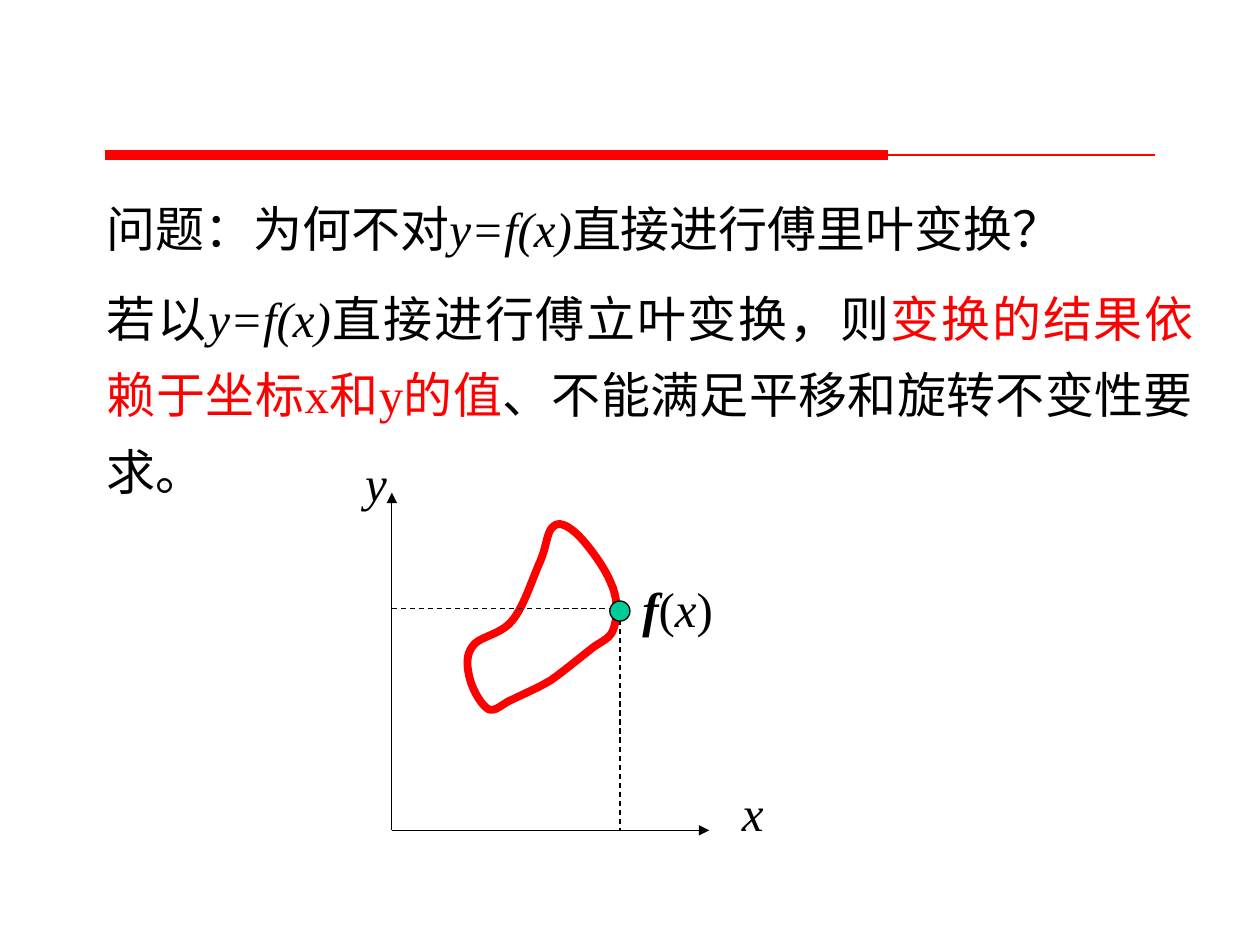
import dataclasses
import typing

import lxml.etree
import pptx
import pptx.dml.color
import pptx.enum.dml
import pptx.enum.shapes
import pptx.enum.text
import pptx.oxml.ns
import pptx.util

RED = pptx.dml.color.RGBColor(0xFF, 0x00, 0x00)
BLACK = pptx.dml.color.RGBColor(0x00, 0x00, 0x00)
WHITE = pptx.dml.color.RGBColor(0xFF, 0xFF, 0xFF)
GREEN = pptx.dml.color.RGBColor(0x00, 0xCC, 0x99)

WIDTH, HEIGHT = 10, 7.5
RULE_Y = 1.23
ORIGIN_X, ORIGIN_Y = 3.11, 6.59
POINT_X, POINT_Y, POINT_SIZE = 4.92, 4.85, 0.16
CURVE_STEPS = 10
THIN = 0.74

BASE_FONT = {"name": "Times New Roman", "size": pptx.util.Pt(28), "bold": False, "italic": False}
BODY_FORMAT = {"alignment": pptx.enum.text.PP_ALIGN.JUSTIFY, "line_spacing": 1.3}
LABEL_FORMAT = {"space_before": pptx.util.Pt(17.5)}


@dataclasses.dataclass
class Span:
    text: str
    color: pptx.dml.color.RGBColor = BLACK
    font: dict = dataclasses.field(default_factory=dict)


@dataclasses.dataclass
class TextBox:
    left: float
    top: float
    width: float
    height: float
    spans: list[Span]
    layout: dict
    wrap: bool = True


@dataclasses.dataclass
class Line:
    start: tuple[float, float]
    end: tuple[float, float]
    color: pptx.dml.color.RGBColor = BLACK
    weight: float = THIN
    dashed: bool = False
    arrow: bool = False


def italic(text: str) -> Span:
    return Span(text, font={"italic": True})


def set_all(target: typing.Any, values: dict) -> None:
    for name, value in values.items():
        setattr(target, name, value)


def draw_text(slide: typing.Any, item: TextBox) -> None:
    bounds = map(pptx.util.Inches, (item.left, item.top, item.width, item.height))
    box = slide.shapes.add_textbox(*bounds)
    box.text_frame.word_wrap = item.wrap
    para = box.text_frame.paragraphs[0]
    set_all(para, item.layout)
    for span in item.spans:
        run = para.add_run()
        run.text = span.text
        set_all(run.font, BASE_FONT | span.font)
        run.font.color.rgb = span.color


def draw_line(slide: typing.Any, item: Line) -> None:
    ends = map(pptx.util.Inches, (*item.start, *item.end))
    connector = slide.shapes.add_connector(pptx.enum.shapes.MSO_CONNECTOR.STRAIGHT, *ends)
    connector.line.color.rgb = item.color
    connector.line.width = pptx.util.Pt(item.weight)
    if item.dashed:
        connector.line.dash_style = pptx.enum.dml.MSO_LINE.DASH
    if item.arrow:
        outline = connector.line._get_or_add_ln()
        lxml.etree.SubElement(outline, pptx.oxml.ns.qn("a:tailEnd"), type="triangle")
    lxml.etree.SubElement(connector._element.spPr, pptx.oxml.ns.qn("a:effectLst"))


def paint(shape: typing.Any, fill: pptx.dml.color.RGBColor,
          color: pptx.dml.color.RGBColor, weight: float) -> None:
    shape.shadow.inherit = False
    shape.fill.solid()
    shape.fill.fore_color.rgb = fill
    shape.line.color.rgb = color
    shape.line.width = pptx.util.Pt(weight)


def bezier(points: list[tuple[float, float]], t: float) -> tuple[int, ...]:
    weights = ((1 - t) ** 3, 3 * t * (1 - t) ** 2, 3 * t ** 2 * (1 - t), t ** 3)
    return tuple(
        pptx.util.Inches(sum(w * p[axis] for w, p in zip(weights, points))) for axis in (0, 1)
    )


def draw_contour(slide: typing.Any, points: list[tuple[float, float]]) -> None:
    vertices = [
        bezier(points[first:first + 4], step / CURVE_STEPS)
        for first in range(0, len(points) - 1, 3)
        for step in range(CURVE_STEPS)
    ]
    builder = slide.shapes.build_freeform(*vertices[0])
    builder.add_line_segments(vertices[1:], close=True)
    paint(builder.convert_to_shape(), WHITE, RED, 4.5)


CONTOUR = [
    (4.07, 5.55),
    (3.99, 5.58), (3.94, 5.65), (3.88, 5.63),
    (3.82, 5.60), (3.75, 5.47), (3.73, 5.39),
    (3.71, 5.31), (3.69, 5.21), (3.75, 5.13),
    (3.80, 5.05), (3.98, 5.04), (4.07, 4.92),
    (4.16, 4.81), (4.23, 4.58), (4.29, 4.45),
    (4.34, 4.33), (4.34, 4.22), (4.39, 4.18),
    (4.43, 4.14), (4.49, 4.16), (4.57, 4.23),
    (4.65, 4.30), (4.80, 4.50), (4.85, 4.63),
    (4.91, 4.76), (4.90, 4.90), (4.87, 4.99),
    (4.84, 5.08), (4.76, 5.09), (4.68, 5.16),
    (4.59, 5.23), (4.47, 5.33), (4.37, 5.40),
    (4.27, 5.46), (4.15, 5.51), (4.07, 5.55),
]

RULES = [
    Line((0.83, RULE_Y), (7.05, RULE_Y), RED, 6),
    Line((0.9, RULE_Y), (9.17, RULE_Y), RED),
]

GRAPH_LINES = [
    Line((ORIGIN_X, ORIGIN_Y), (5.63, ORIGIN_Y), arrow=True),
    Line((ORIGIN_X, ORIGIN_Y), (ORIGIN_X, 3.91), arrow=True),
    Line((ORIGIN_X, 4.83), (POINT_X - POINT_SIZE / 2, 4.83), dashed=True),
    Line((POINT_X, POINT_Y), (POINT_X, ORIGIN_Y), dashed=True),
]

TEXTS = [
    TextBox(0.75, 1.39, 8.82, 0.71, [
        Span("问题：为何不对"), italic("y=f(x)"), Span("直接进行傅里叶变换？"),
    ], BODY_FORMAT),
    TextBox(0.75, 2.1, 8.82, 1.73, [
        Span("若以"), italic("y=f(x)"), Span("直接进行傅立叶变换，则"),
        Span("变换的结果依赖于坐标x和y的值", RED),
        Span("、不能满足平移和旋转不变性要求。"),
    ], BODY_FORMAT),
    TextBox(5, 4.54, 0.87, 0.57, [
        Span("f", font={"bold": True, "italic": True}), Span("("), italic("x"), Span(")"),
    ], LABEL_FORMAT),
    TextBox(2.8, 3.54, 0.37, 0.57, [italic("y")], LABEL_FORMAT, wrap=False),
    TextBox(5.79, 6.16, 0.79, 0.57, [italic("x")], LABEL_FORMAT),
]


def main() -> None:
    deck = pptx.Presentation()
    set_all(deck, {"slide_width": pptx.util.Inches(WIDTH), "slide_height": pptx.util.Inches(HEIGHT)})
    slide = deck.slides.add_slide(deck.slide_layouts[6])
    for rule in RULES:
        draw_line(slide, rule)
    draw_contour(slide, CONTOUR)
    for line in GRAPH_LINES:
        draw_line(slide, line)
    corner = (POINT_X - POINT_SIZE / 2, POINT_Y - POINT_SIZE / 2)
    bounds = map(pptx.util.Inches, (*corner, POINT_SIZE, POINT_SIZE))
    point = slide.shapes.add_shape(pptx.enum.shapes.MSO_SHAPE.OVAL, *bounds)
    paint(point, GREEN, BLACK, THIN)
    for text in TEXTS:
        draw_text(slide, text)
    deck.save("out.pptx")


main()
